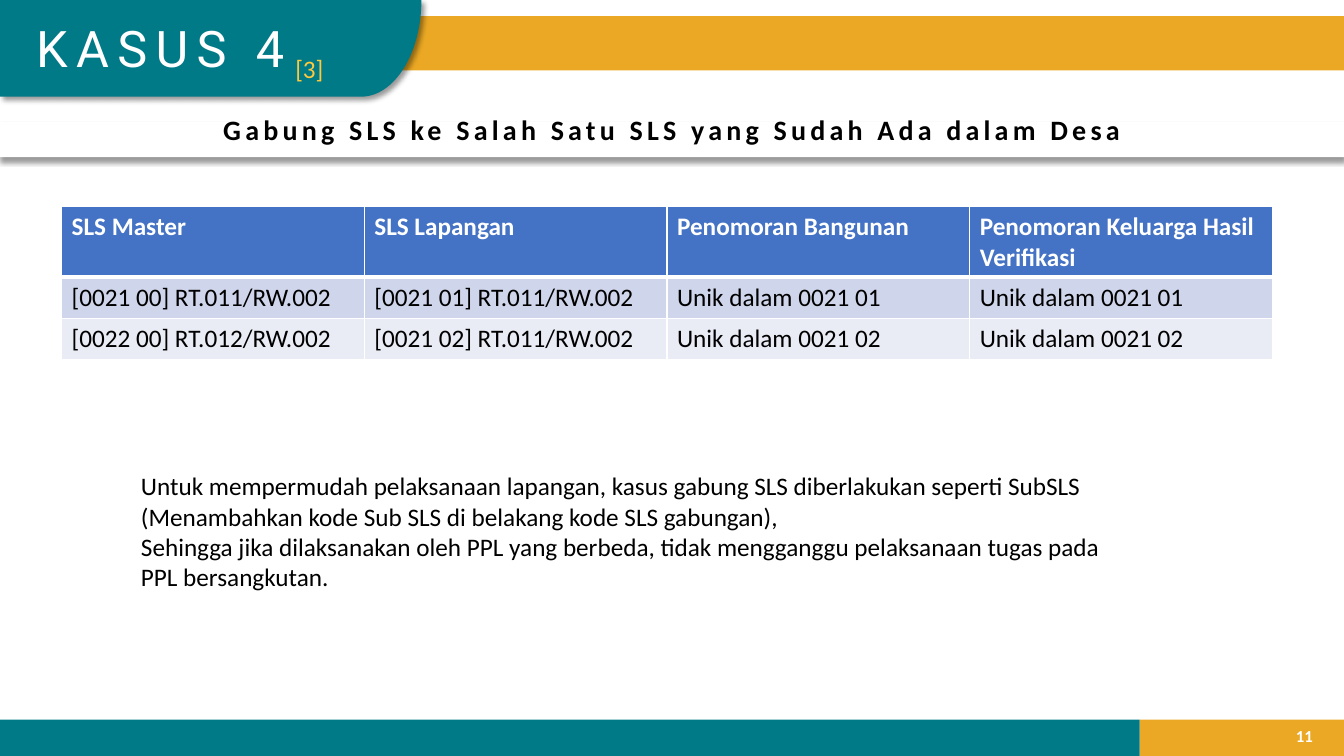
from math import cos, pi, sin

from lxml.etree import SubElement
from pptx import Presentation
from pptx.dml.color import RGBColor
from pptx.enum.shapes import MSO_SHAPE
from pptx.enum.text import MSO_ANCHOR, PP_ALIGN
from pptx.oxml.ns import qn
from pptx.util import Inches, Pt

WIDTH, HEIGHT = Inches(13.33), Inches(7.5)
COLORS = {
    "teal": "017A87", "gold": "EAA824", "yellow": "FFC93C", "white": "FFFFFF",
    "black": "000000", "header": "4472C4", "band_dark": "CFD5EA", "band_light": "E9EBF5",
}
TABLE_ROWS = [
    ["SLS Master", "SLS Lapangan", "Penomoran Bangunan", "Penomoran Keluarga Hasil Verifikasi"],
    ["[0021 00] RT.011/RW.002", "[0021 01] RT.011/RW.002", "Unik dalam 0021 01", "Unik dalam 0021 01"],
    ["[0022 00] RT.012/RW.002", "[0021 02] RT.011/RW.002", "Unik dalam 0021 02", "Unik dalam 0021 02"],
]
EXPLANATION = [
    "Untuk mempermudah pelaksanaan lapangan, kasus gabung SLS diberlakukan seperti SubSLS "
    "(Menambahkan kode Sub SLS di belakang kode SLS gabungan),",
    "Sehingga jika dilaksanakan oleh PPL yang berbeda, tidak mengganggu pelaksanaan tugas pada "
    "PPL bersangkutan.",
]


def color(name):
    return RGBColor.from_string(COLORS[name])


def across(percent):
    return round(WIDTH * percent / 100)


def down(percent):
    return round(HEIGHT * percent / 100)


def place(left, top, width, height):
    """Turn percentages of the slide into a position and a size."""
    return across(left), down(top), across(width), down(height)


def paint(shape, fill):
    shape.shadow.inherit = False
    shape.fill.solid()
    shape.fill.fore_color.rgb = color(fill)
    shape.line.fill.background()


def add_bar(page, area, fill):
    bar = page.shapes.add_shape(MSO_SHAPE.RECTANGLE, *place(*area))
    paint(bar, fill)
    return bar


def add_title_tab(page, width, height, corner):
    """Draw a tab in the slide's corner whose lower right corner is a quarter ellipse."""
    steps = 32
    angles = [pi / 2 * step / steps for step in range(steps + 1)]
    curve = [(across(width - corner + corner * cos(angle)), down(height * sin(angle)))
             for angle in angles]
    builder = page.shapes.build_freeform(0, 0)
    builder.add_line_segments(curve + [(0, down(height))], close=True)
    tab = builder.convert_to_shape()
    paint(tab, "teal")
    return tab


def cast_shadow(shape, degrees):
    effects = shape._element.spPr.find(qn("a:effectLst"))
    shadow = SubElement(effects, qn("a:outerShdw"), blurRad=str(Pt(4)), dist=str(Pt(3)),
                        dir=str(degrees * 60000), algn="tl", rotWithShape="0")
    tint = SubElement(shadow, qn("a:srgbClr"), val=COLORS["black"])
    SubElement(tint, qn("a:alpha"), val="40000")


def style(para, size, ink, bold=False, font="Calibri"):
    para.font.name = font
    para.font.size = Pt(size)
    para.font.bold = bold
    para.font.color.rgb = color(ink)


def add_text(page, area, lines, size, ink, bold=False, font="Calibri",
             align=PP_ALIGN.LEFT, anchor=MSO_ANCHOR.TOP, spacing=0):
    frame = page.shapes.add_textbox(*place(*area)).text_frame
    frame.word_wrap = True
    frame.vertical_anchor = anchor
    frame.text = "\n".join(lines)
    for para in frame.paragraphs:
        para.alignment = align
        style(para, size, ink, bold, font)
        if spacing:
            for span in para.runs:
                span._r.get_or_add_rPr().set("spc", str(spacing * 100))


def add_borders(cell, top, bottom):
    properties = cell._tc.get_or_add_tcPr()
    for side, points in (("L", 1), ("R", 1), ("T", top), ("B", bottom)):
        border = SubElement(properties, qn(f"a:ln{side}"), w=str(Pt(points)))
        fill = SubElement(border, qn("a:solidFill"))
        SubElement(fill, qn("a:srgbClr"), val=COLORS["white"])


def add_numbering_table(page, area, row_heights):
    table = page.shapes.add_table(len(TABLE_ROWS), len(TABLE_ROWS[0]), *place(*area)).table
    fills = ("header", "band_dark", "band_light")
    for index, (texts, fill, height) in enumerate(zip(TABLE_ROWS, fills, row_heights)):
        table.rows[index].height = down(height)
        header = index == 0
        for column, text in enumerate(texts):
            cell = table.cell(index, column)
            cell.text = text
            style(cell.text_frame.paragraphs[0], 18, "white" if header else "black", header)
            add_borders(cell, top=3 if index == 1 else 1, bottom=3 if header else 1)
            cell.fill.solid()
            cell.fill.fore_color.rgb = color(fill)


def main():
    deck = Presentation()
    deck.slide_width, deck.slide_height = WIDTH, HEIGHT
    page = deck.slides.add_slide(deck.slide_layouts[6])

    add_bar(page, (29.4, 2.13, 70.6, 7.2), "gold")
    add_bar(page, (84.8, 95.2, 15.2, 4.8), "gold")
    add_text(page, (94.9, 94.67, 3.53, 5.33), ["11"], 12, "white", bold=True,
             align=PP_ALIGN.RIGHT, anchor=MSO_ANCHOR.MIDDLE)
    add_bar(page, (0, 95.2, 84.8, 4.8), "teal")

    cast_shadow(add_title_tab(page, 31.36, 12.8, 4.5), 45)
    add_text(page, (1.95, 1.6, 22, 9.6), ["KASUS 4"], 36, "white", font="Roboto", spacing=6)
    cast_shadow(add_bar(page, (0, 16.13, 100, 4.67), "white"), 90)
    add_text(page, (0, 14.27, 100, 5.87), ["Gabung SLS ke Salah Satu SLS yang Sudah Ada dalam Desa"],
             20, "black", bold=True, align=PP_ALIGN.CENTER, spacing=3)
    add_text(page, (21.23, 6.4, 3.6, 5.33), ["[3]"], 18, "yellow")

    add_numbering_table(page, (4.58, 27.3, 90.1, 20.13), (9.2, 5.47, 5.47))
    add_text(page, (9.75, 61.6, 75.92, 17.47), EXPLANATION, 18, "black")
    deck.save("out.pptx")


if __name__ == "__main__":
    main()
